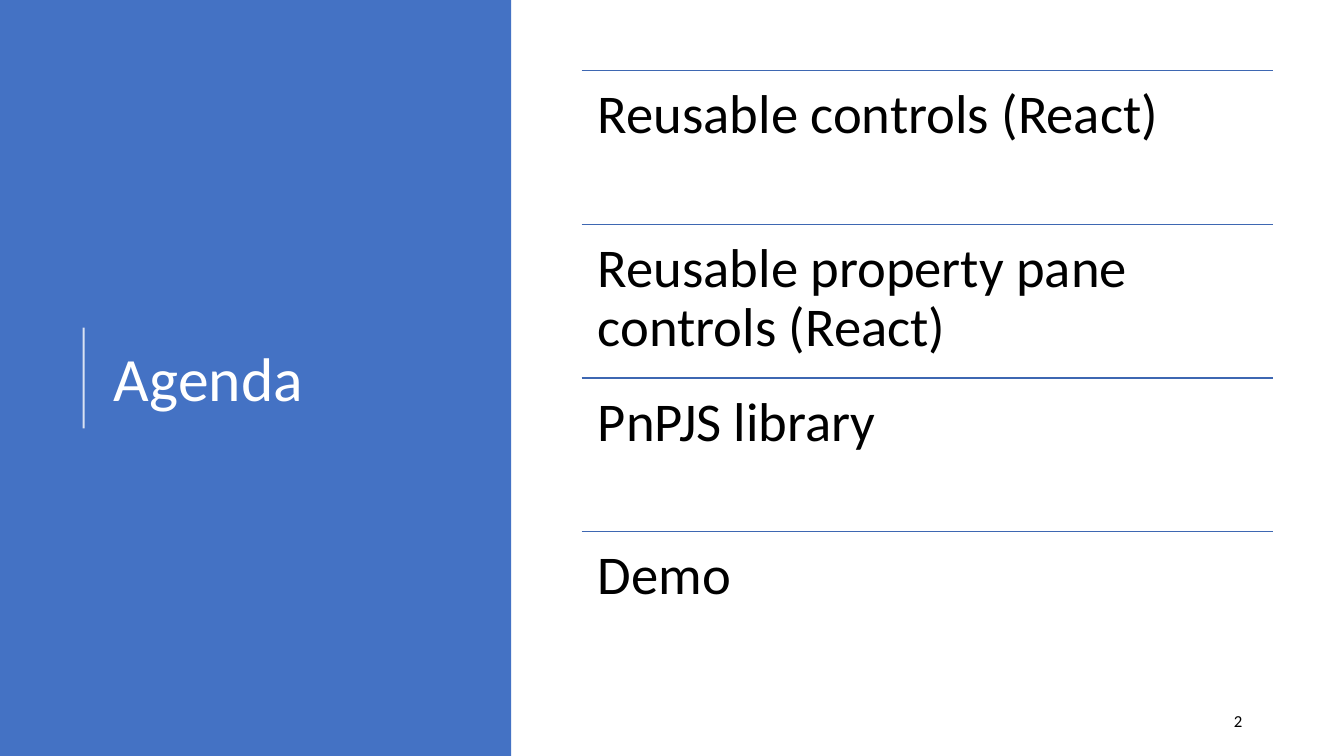
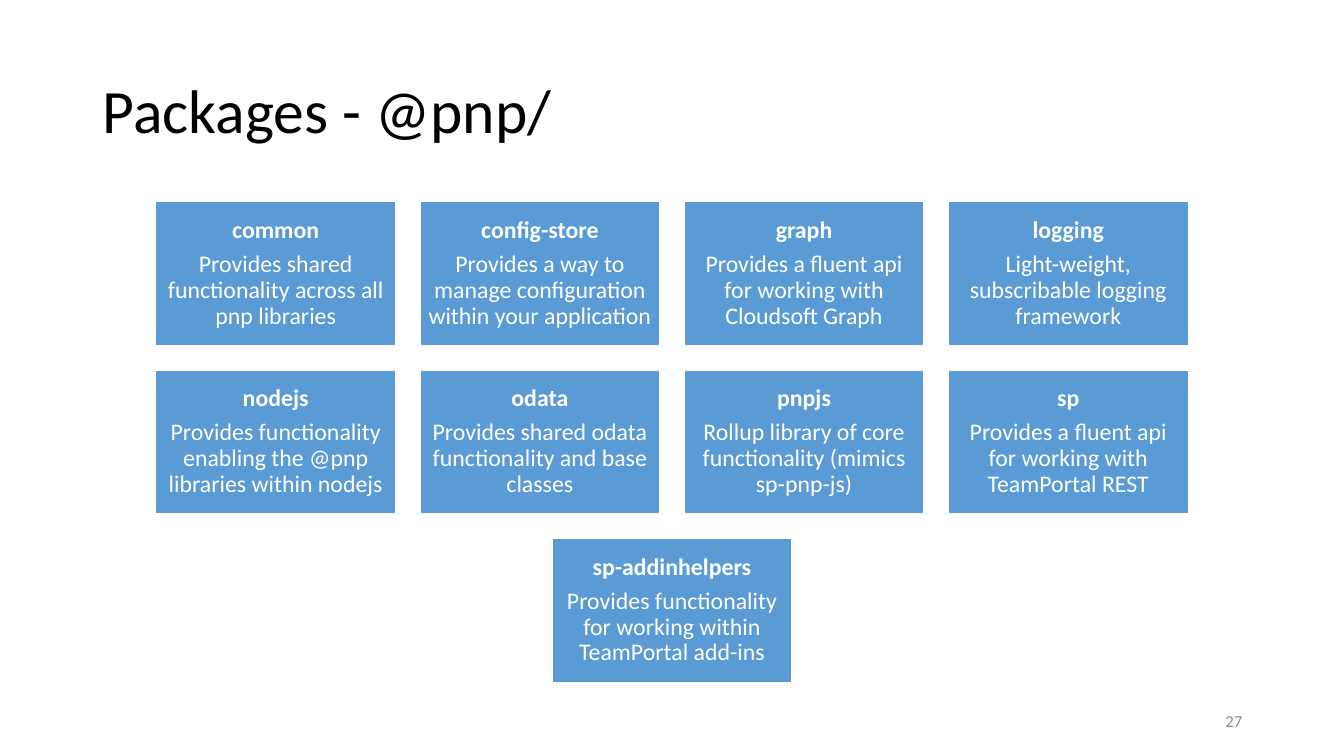
from dataclasses import dataclass
from typing import Any

import pptx
import pptx.util
from lxml import etree
from pptx.dml.color import RGBColor
from pptx.enum.shapes import MSO_CONNECTOR, MSO_SHAPE
from pptx.enum.text import MSO_ANCHOR, MSO_AUTO_SIZE, PP_ALIGN
from pptx.oxml.ns import qn

Inches = pptx.util.Inches
Pt = pptx.util.Pt


# Theme
@dataclass(frozen=True)
class Theme:
    font: str = "Calibri"
    white: str = "FFFFFF"
    black: str = "000000"
    gray: str = "8C8C8C"
    panel: str = "4472C4"
    rule: str = "3E67B2"
    card: str = "5B9BD5"
    title: int = 44
    item: int = 39
    body: int = 17
    page: int = 12
    wide: float = 13.33
    high: float = 7.5


THEME = Theme()


@dataclass(frozen=True)
class Box:
    x: float
    y: float
    w: float
    h: float

    def place(self) -> list[int]:
        return [Inches(v) for v in (self.x, self.y, self.w, self.h)]


@dataclass(frozen=True)
class Style:
    size: int
    color: str
    align: Any = PP_ALIGN.LEFT
    anchor: Any = MSO_ANCHOR.MIDDLE
    pad: tuple[float, float] = (0.1, 0.05)
    space: float = 0.9
    after: float = 0


@dataclass(frozen=True)
class Line:
    text: str
    bold: bool = False


@dataclass(frozen=True)
class Card:
    name: str
    note: str


# Text styles
ITEM = Style(THEME.item, THEME.black, anchor=MSO_ANCHOR.TOP,
             pad=(0.16, 0.16), after=0.35 * THEME.item)
CARD = Style(THEME.body, THEME.white, align=PP_ALIGN.CENTER,
             pad=(0.07, 0.07), after=0.35 * THEME.body)

# Content
AGENDA = ["Reusable controls (React)", "Reusable property pane controls (React)",
          "PnPJS library", "Demo"]
CARDS = [
    Card("common", "Provides shared functionality across all pnp libraries"),
    Card("config-store",
         "Provides a way to manage configuration within your application"),
    Card("graph", "Provides a fluent api for working with Cloudsoft Graph"),
    Card("logging", "Light-weight, subscribable logging framework"),
    Card("nodejs",
         "Provides functionality enabling the @pnp libraries within nodejs"),
    Card("odata", "Provides shared odata functionality and base classes"),
    Card("pnpjs", "Rollup library of core functionality (mimics sp-pnp-js)"),
    Card("sp", "Provides a fluent api for working with TeamPortal REST"),
    Card("sp-addinhelpers",
         "Provides functionality for working within TeamPortal add-ins"),
]


# Shared helpers
def apply(thing: Any, form: dict[str, Any]) -> None:
    for key, value in form.items():
        setattr(thing, key, value)


def tint(color: str) -> RGBColor:
    return RGBColor.from_string(color)


def write(shape: Any, lines: list[Line], style: Style) -> None:
    frame = shape.text_frame
    side, edge = (Inches(v) for v in style.pad)
    apply(frame, {
        "word_wrap": True, "auto_size": MSO_AUTO_SIZE.NONE,
        "vertical_anchor": style.anchor,
        "margin_left": side, "margin_right": side,
        "margin_top": edge, "margin_bottom": edge,
    })
    for i, line in enumerate(lines):
        para = frame.add_paragraph() if i else frame.paragraphs[0]
        apply(para, {"alignment": style.align, "line_spacing": style.space,
                     "space_before": Pt(0), "space_after": Pt(style.after)})
        run = para.add_run()
        run.text = line.text
        apply(run.font, {"name": THEME.font, "size": Pt(style.size),
                         "bold": line.bold})
        run.font.color.rgb = tint(style.color)


def add_text(slide: Any, box: Box, text: str, style: Style) -> None:
    write(slide.shapes.add_textbox(*box.place()), [Line(text)], style)


def add_rect(slide: Any, box: Box, fill: str, edge: str = "") -> Any:
    rect = slide.shapes.add_shape(MSO_SHAPE.RECTANGLE, *box.place())
    rect.shadow.inherit = False
    rect.fill.solid()
    rect.fill.fore_color.rgb = tint(fill)
    if edge:
        rect.line.color.rgb = tint(edge)
        rect.line.width = Pt(1)
    else:
        rect.line.fill.background()
    return rect


def add_rule(slide: Any, start: tuple[float, float], end: tuple[float, float],
             color: str, width: float, alpha: int = 100) -> None:
    ends = [Inches(v) for v in (*start, *end)]
    rule = slide.shapes.add_connector(MSO_CONNECTOR.STRAIGHT, *ends)
    rule.line.color.rgb = tint(color)
    rule.line.width = Pt(width)
    props = rule._element.spPr
    if alpha < 100:
        shade = props.find(".//" + qn("a:srgbClr"))
        etree.SubElement(shade, qn("a:alpha"), val=str(alpha * 1000))
    etree.SubElement(props, qn("a:effectLst"))


def add_title(slide: Any, box: Box, text: str, color: str) -> None:
    title = slide.shapes.title
    apply(title, dict(zip(("left", "top", "width", "height"), box.place())))
    write(title, [Line(text)], Style(THEME.title, color))


def add_page(slide: Any, number: int, color: str) -> None:
    add_text(slide, Box(9.42, 6.95, 3, 0.4), str(number),
             Style(THEME.page, color, align=PP_ALIGN.RIGHT, space=1, after=6))


# Agenda slide
def draw_agenda(slide: Any) -> None:
    add_rect(slide, Box(0, 0, 5.07, THEME.high), THEME.panel)
    add_rule(slide, (0.83, 4.25), (0.83, 3.25), THEME.white, 1.5, alpha=80)
    # The title sits above the panel
    title = slide.shapes.title._element
    title.getparent().append(title)
    add_title(slide, Box(1.03, 0.78, 3.69, 6.02), "Agenda", THEME.white)

    area = Box(5.77, 0.7, 6.86, 6.1)
    step = area.h / len(AGENDA)
    for i, text in enumerate(AGENDA):
        top = area.y + i * step
        add_rule(slide, (area.x, top), (area.x + area.w, top), THEME.rule, 1)
        add_text(slide, Box(area.x, top, area.w, step), text, ITEM)
    add_page(slide, 2, THEME.black)


# Package cards, each row centred
def draw_cards(slide: Any) -> None:
    add_title(slide, Box(0.92, 0.4, 11.5, 1.45), "Packages - @pnp/",
              THEME.black)
    cols, wide, high, gap, top = 4, 2.38, 1.43, 0.24, 2
    for i, card in enumerate(CARDS):
        row, col = divmod(i, cols)
        count = min(cols, len(CARDS) - row * cols)
        left = (THEME.wide - count * wide - (count - 1) * gap) / 2
        box = Box(left + col * (wide + gap), top + row * (high + gap),
                  wide, high)
        rect = add_rect(slide, box, THEME.card, THEME.white)
        write(rect, [Line(card.name, True), Line(card.note)], CARD)
    add_page(slide, 27, THEME.gray)


def main() -> None:
    deck = pptx.Presentation()
    apply(deck, {"slide_width": Inches(THEME.wide),
                 "slide_height": Inches(THEME.high)})
    for draw in (draw_agenda, draw_cards):
        draw(deck.slides.add_slide(deck.slide_layouts[5]))
    deck.save("out.pptx")


if __name__ == "__main__":
    main()
